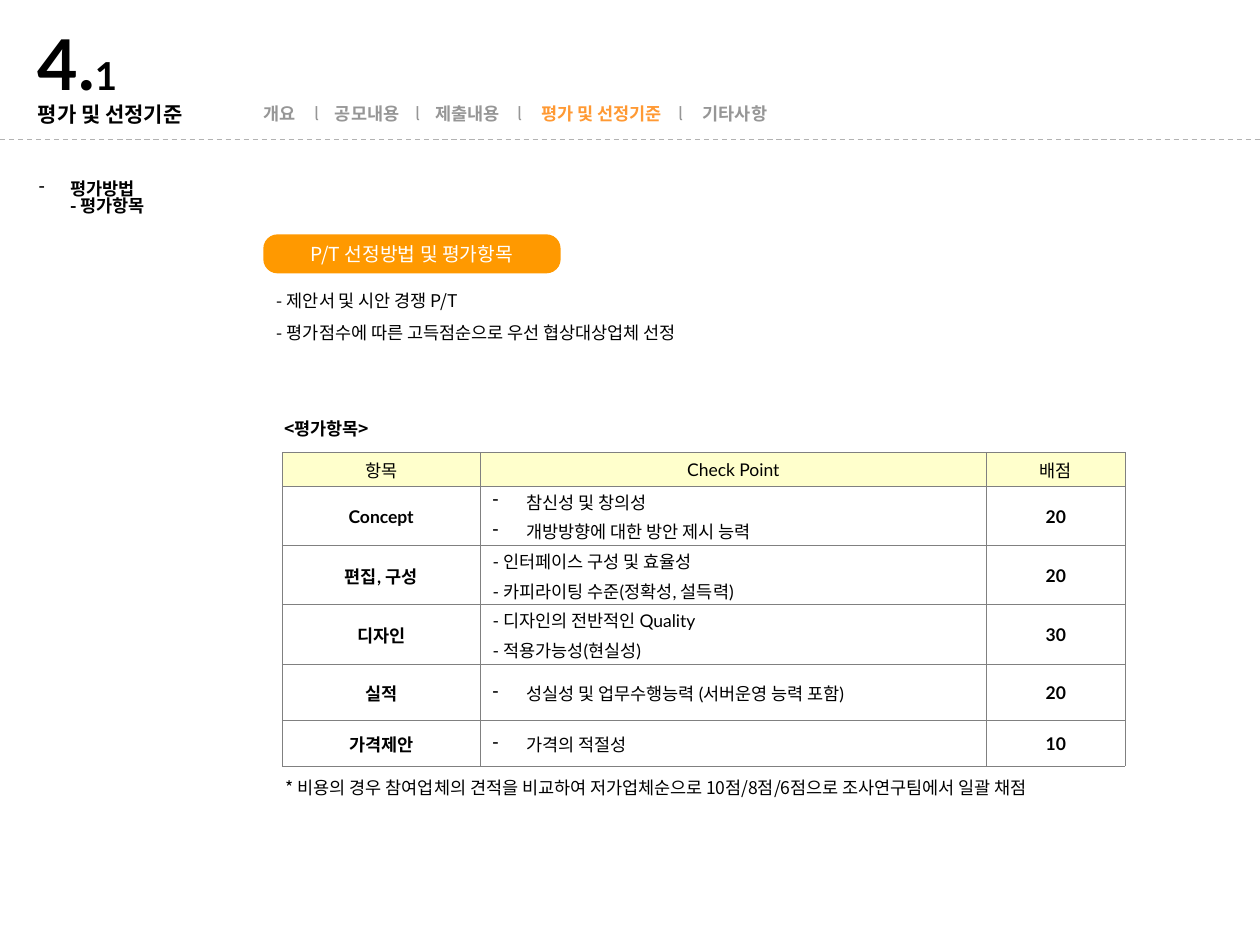
from pptx import Presentation
from pptx.dml.color import RGBColor
from pptx.enum.dml import MSO_LINE
from pptx.enum.shapes import MSO_CONNECTOR, MSO_SHAPE
from pptx.enum.text import MSO_ANCHOR, PP_ALIGN
from pptx.oxml import parse_xml
from pptx.oxml.ns import nsdecls, qn
from pptx.util import Inches, Pt

LATO, NOTO = "Lato", "Noto Sans CJK KR"
BLACK, WHITE = RGBColor(0, 0, 0), RGBColor(255, 255, 255)
GRAY, RULE_GRAY = RGBColor(0x96, 0x96, 0x96), RGBColor(0xB2, 0xB2, 0xB2)
ORANGE, ACTIVE = RGBColor(0xFF, 0x99, 0x00), RGBColor(0xFF, 0x99, 0x33)
CREAM, BORDER = RGBColor(0xFF, 0xFF, 0xCC), "808080"
CENTER, MIDDLE = PP_ALIGN.CENTER, MSO_ANCHOR.MIDDLE

# Content
NUMBER, SUBNUMBER, TITLE = "4.", "1", "평가 및 선정기준"
SECTIONS = ["개요", "공모내용", "제출내용", TITLE, "기타사항"]
SECTION_TABS = [0.41, 0.57, 1.21, 1.37, 2.02, 2.21, 3.30, 3.49]
TOPICS = ["평가방법", "- 평가항목"]
BADGE = "P/T 선정방법 및 평가항목"
METHODS = ["- 제안서 및 시안 경쟁 P/T",
           "- 평가점수에 따른 고득점순으로 우선 협상대상업체 선정"]
TABLE_TITLE = "<평가항목>"
HEADER = ("항목", ["Check Point"], "배점")
CRITERIA = [  # lines without a typed dash get a real bullet
    ("Concept", ["참신성 및 창의성", "개방방향에 대한 방안 제시 능력"], "20"),
    ("편집, 구성", ["- 인터페이스 구성 및 효율성",
                 "- 카피라이팅 수준(정확성, 설득력)"], "20"),
    ("디자인", ["- 디자인의 전반적인 Quality", "- 적용가능성(현실성)"], "30"),
    ("실적", ["성실성 및 업무수행능력 (서버운영 능력 포함)"], "20"),
    ("가격제안", ["가격의 적절성"], "10"),
]
COLUMNS = [1.57, 4.02, 1.10]
ROWS = [0.27, 0.47, 0.47, 0.47, 0.45, 0.36]
NOTE = ("* 비용의 경우 참여업체의 견적을 비교하여 저가업체순으로 "
        "10점/8점/6점으로 조사연구팀에서 일괄 채점")

prs = Presentation()
prs.slide_width, prs.slide_height = Inches(10), Inches(7.5)
slide = prs.slides.add_slide(prs.slide_layouts[6])


def add_run(paragraph, text, size=10, face=NOTO, color=BLACK, bold=False):
    run = paragraph.add_run()
    run.text = text
    for key, value in {"name": face, "size": Pt(size), "bold": bold}.items():
        setattr(run.font, key, value)
    run.font.color.rgb = color
    run.font.fill._xPr.find(qn("a:latin")).addnext(
        parse_xml(f'<a:ea {nsdecls("a")} typeface="{NOTO}"/>'))


def format_paragraph(paragraph, **values):
    for key, value in values.items():
        setattr(paragraph, key, value)


def add_bullet(paragraph, indent):
    props = paragraph._p.get_or_add_pPr()
    props.set("marL", str(Inches(indent)))
    props.set("indent", str(-Inches(indent)))
    props.append(parse_xml(f'<a:buChar {nsdecls("a")} char="-"/>'))


def add_box(left, top, width, height, margin=0.1):
    frame = slide.shapes.add_textbox(
        *map(Inches, (left, top, width, height))).text_frame
    frame.word_wrap = True
    frame.margin_left = frame.margin_right = Inches(margin)
    return frame


# Dashed rule under the heading
rule = slide.shapes.add_connector(
    MSO_CONNECTOR.STRAIGHT, 0, Inches(1.11), prs.slide_width, Inches(1.11))
rule.line.color.rgb = RULE_GRAY
rule.line.width = Pt(0.75)
rule.line.dash_style = MSO_LINE.DASH
rule._element.spPr.append(parse_xml(f'<a:effectLst {nsdecls("a")}/>'))

# Section number and title
heading = add_box(0.21, 0.25, 2.35, 0.84, margin=0.09)
heading.margin_top = heading.margin_bottom = Inches(0.04)
number_line, title_line = heading.paragraphs[0], heading.add_paragraph()
format_paragraph(number_line, line_spacing=0.8)
format_paragraph(title_line, line_spacing=0.95)
add_run(number_line, NUMBER, 40, LATO, bold=True)
add_run(number_line, SUBNUMBER, 22, LATO, bold=True)
add_run(title_line, TITLE, 12, LATO, bold=True)

# Section navigation, spaced by tab stops
nav = add_box(1.99, 0.8, 4.25, 0.27).paragraphs[0]
format_paragraph(nav, line_spacing=0.83)
stops = "".join(f'<a:tab pos="{Inches(tab)}" algn="l"/>' for tab in SECTION_TABS)
nav._p.get_or_add_pPr().append(
    parse_xml(f'<a:tabLst {nsdecls("a")}>{stops}</a:tabLst>'))
for index, section in enumerate(SECTIONS):
    if index:
        add_run(nav, "\tl\t", color=GRAY)
    add_run(nav, section, color=ACTIVE if section == TITLE else GRAY, bold=True)

# Methods
methods = add_box(2.1, 2.25, 6.76, 0.87)
for index, method in enumerate(METHODS):
    line = methods.add_paragraph() if index else methods.paragraphs[0]
    format_paragraph(line, line_spacing=1.0, space_before=Pt(6.2 if index else 0))
    add_run(line, method)

# Topics in the left margin
topics = add_box(0.21, 1.39, 1.54, 0.44).paragraphs[0]
format_paragraph(topics, line_spacing=0.83)
add_bullet(topics, 0.25)
for index, topic in enumerate(TOPICS):
    if index:
        topics.add_line_break()
    add_run(topics, topic, bold=True)

# Orange badge
badge = slide.shapes.add_shape(
    MSO_SHAPE.ROUNDED_RECTANGLE, *map(Inches, (2.09, 1.86, 2.36, 0.31)))
badge.adjustments[0] = 0.365
badge.shadow.inherit = False
badge.fill.solid()
badge.fill.fore_color.rgb = ORANGE
badge.line.fill.background()
badge.text_frame.vertical_anchor = MIDDLE
badge.text_frame.word_wrap = False
badge_line = badge.text_frame.paragraphs[0]
format_paragraph(badge_line, alignment=CENTER)
add_run(badge_line, BADGE, 11, color=WHITE)


# Criteria table
def fill_cell(cell, lines, fill, centered, bold):
    for key, value in {"vertical_anchor": MIDDLE, "margin_top": Inches(0.02),
                       "margin_bottom": Inches(0.01)}.items():
        setattr(cell, key, value)
    props = cell._tc.get_or_add_tcPr()
    for side in ("lnL", "lnR", "lnT", "lnB"):
        props.append(parse_xml(
            f'<a:{side} {nsdecls("a")} w="{Pt(0.45)}"><a:solidFill>'
            f'<a:srgbClr val="{BORDER}"/></a:solidFill></a:{side}>'))
    cell.fill.solid()
    cell.fill.fore_color.rgb = fill
    frame = cell.text_frame
    for index, text in enumerate(lines):
        line = frame.add_paragraph() if index else frame.paragraphs[0]
        format_paragraph(line, space_before=Pt(2.5 if index else 0))
        if centered:
            format_paragraph(line, alignment=CENTER)
        elif not text.startswith("-"):
            add_bullet(line, 0.27)
        add_run(line, text, face=LATO, bold=bold)


table = slide.shapes.add_table(
    len(ROWS), len(COLUMNS), Inches(2.24), Inches(3.59),
    Inches(sum(COLUMNS)), Inches(sum(ROWS))).table
for column, width in zip(table.columns, COLUMNS):
    column.width = Inches(width)
for r, (item, points, score) in enumerate([HEADER] + CRITERIA):
    table.rows[r].height = Inches(ROWS[r])
    for c, lines in enumerate(([item], points, [score])):
        is_header, is_points = r == 0, c == 1
        fill_cell(table.cell(r, c), lines, CREAM if is_header else WHITE,
                  centered=is_header or not is_points,
                  bold=not (is_header or is_points))

# Table title and footnote
for area, text, spacing, bold in [
        ((2.17, 6.06, 7.4, 0.37), NOTE, 1.33, False),
        ((2.16, 3.3, 3.84, 0.29), TABLE_TITLE, 0.8, True)]:
    caption = add_box(*area).paragraphs[0]
    format_paragraph(caption, line_spacing=spacing)
    add_run(caption, text, bold=bold)

prs.save("out.pptx")
